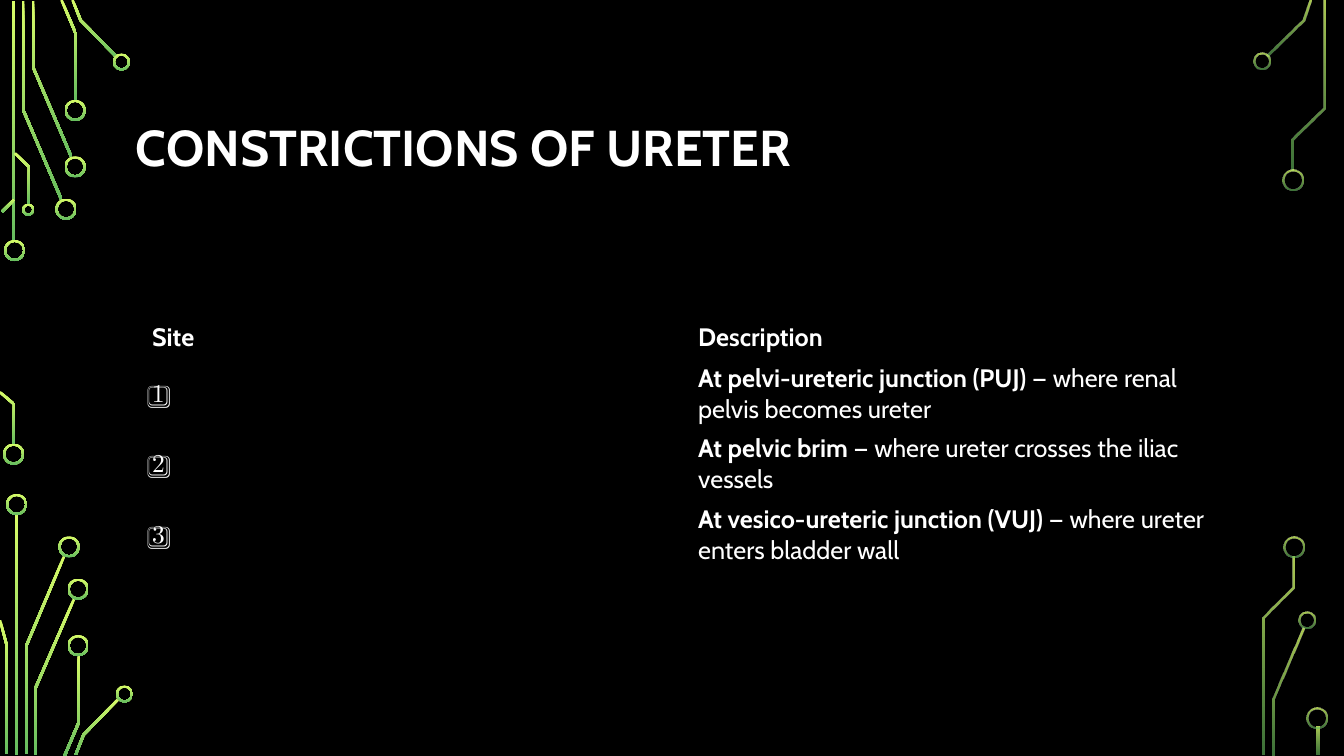
import math
from dataclasses import dataclass

from pptx import Presentation
from pptx.dml.color import RGBColor
from pptx.enum import shapes, text
from pptx.oxml import parse_xml
from pptx.oxml.ns import nsdecls
from pptx.util import Emu, Pt

PX = 9144  # 100 px to the inch
WIDE, HIGH = 1333, 750


@dataclass(frozen=True)
class Theme:
    back: str = "000000"
    ink: str = "FFFFFF"
    lime: str = "D8FC68"
    green: str = "66BD5F"
    font: str = "Cabin"
    head: int = 36
    body: int = 18
    wire: float = 2.5
    rim: int = 2
    plain: str = "{2D5ABB26-0587-4C30-8999-92F81FD0307C}"


THEME = Theme()
SOLID, FADED = (100, 100), (80, 60)

# Circuit art: wires are centre lines, rings are left, top, size
LEFT = dict(
    bars=[(12, 1, 3, 239), (15, 510, 3, 239)],
    wires=[
        [(61, 198), (23, 109), (23, 1)],
        [(71, 156), (33, 67), (33, 1)],
        [(75, 100), (75, 33), (61, 0)],
        [(116, 57), (80, 20), (72, 0)],
        [(2, 210), (14, 198)],
        [(14, 441), (14, 401), (0, 389)],
        [(29, 203), (29, 166), (15, 152)],
        [(26, 748), (26, 641), (64, 551)],
        [(7, 748), (7, 641), (0, 615)],
        [(35, 749), (35, 683), (74, 593)],
        [(64, 750), (78, 717), (78, 650)],
        [(75, 749), (83, 729), (118, 693)],
    ],
    rings=[
        (4, 238, 21), (3, 440, 21), (55, 197, 21), (64, 155, 21),
        (64, 99, 21), (112, 53, 17), (22, 202, 12), (6, 490, 21),
        (58, 532, 21), (67, 574, 21), (67, 630, 21), (115, 680, 17),
    ],
)
RIGHT = dict(
    bars=[(1306, 721, 3, 28)],
    wires=[
        [(1257, 55), (1293, 20), (1300, 0)],
        [(1263, 749), (1263, 693), (1293, 623)],
        [(1282, 169), (1282, 138), (1313, 107), (1313, 1)],
        [(1253, 749), (1253, 613), (1283, 583), (1283, 552)],
    ],
    rings=[
        (1243, 52, 17), (1272, 168, 21), (1288, 607, 17),
        (1273, 532, 21), (1296, 702, 21),
    ],
)

# Each cell is a list of (words, bold) runs
ROWS = [
    ([("Site", True)], [("Description", True)]),
    ([("1️⃣", False)], [("At pelvi-ureteric junction (PUJ)", True),
                       (" — where renal pelvis becomes ureter", False)]),
    ([("2️⃣", False)], [("At pelvic brim", True),
                       (" — where ureter crosses the iliac vessels", False)]),
    ([("3️⃣", False)], [("At vesico-ureteric junction (VUJ)", True),
                       (" — where ureter enters bladder wall", False)]),
]


def px(*sizes):
    return [Emu(round(n * PX)) for n in sizes]


def rgb(code):
    return RGBColor.from_string(code)


def glow(shape, alphas):
    """Fill from lime at the top to green at the foot, with no line."""
    shape.shadow.inherit = False
    shape.line.fill.background()
    shape.fill.gradient()
    shape.fill.gradient_angle = 270
    stops = shape.fill.gradient_stops
    for stop, code, spot, alpha in zip(
            stops, (THEME.lime, THEME.green), (0, 1), alphas):
        stop.color.rgb = rgb(code)
        stop.position = spot
        if alpha < 100:
            tint = shape._element.xpath(".//a:gs/a:srgbClr")[spot]
            tint.append(parse_xml(
                f'<a:alpha {nsdecls("a")} val="{alpha * 1000}"/>'))


def edge(line, half):
    """Offset a centre line sideways by half, with mitred corners."""
    turns = [math.atan2(y2 - y1, x2 - x1)
             for (x1, y1), (x2, y2) in zip(line, line[1:])]
    side = []
    for (x, y), a, b in zip(line, turns[:1] + turns, turns + turns[-1:]):
        mid, reach = (a + b) / 2, half / math.cos((b - a) / 2)
        side.append((x - reach * math.sin(mid), y + reach * math.cos(mid)))
    return side


def add_wire(slide, line, alphas):
    half = THEME.wire / 2
    rim = edge(line, half) + edge(line, -half)[::-1]
    first, *rest = [px(*spot) for spot in rim]
    pen = slide.shapes.build_freeform(*first)
    pen.add_line_segments(rest, close=True)
    glow(pen.convert_to_shape(), alphas)


def add_bar(slide, box, alphas):
    bar = slide.shapes.add_shape(shapes.MSO_SHAPE.RECTANGLE, *px(*box))
    glow(bar, alphas)


def add_ring(slide, left, top, size, alphas):
    ring = slide.shapes.add_shape(
        shapes.MSO_SHAPE.DONUT, *px(left, top, size, size))
    ring.adjustments[0] = THEME.rim / size
    glow(ring, alphas)


def add_art(slide, art, alphas):
    for box in art["bars"]:
        add_bar(slide, box, alphas)
    for line in art["wires"]:
        add_wire(slide, line, alphas)
    for ring in art["rings"]:
        add_ring(slide, *ring, alphas)


def add_run(para, words, size, bold):
    run = para.add_run()
    run.text = words
    font = run.font
    font.name, font.size, font.bold = THEME.font, Pt(size), bold
    font.color.rgb = rgb(THEME.ink)


def add_title(slide, words, box):
    frame = slide.shapes.add_textbox(*px(*box)).text_frame
    frame.word_wrap = True
    frame.vertical_anchor = text.MSO_ANCHOR.MIDDLE
    para = frame.paragraphs[0]
    para.line_spacing = 0.9
    add_run(para, words, THEME.head, True)


def add_grid(slide, rows, box, first):
    """Add a table without rules; first is the height of its head row."""
    grid = slide.shapes.add_table(len(rows), len(rows[0]), *px(*box)).table
    grid.first_row = grid.horz_banding = False
    grid._tbl.tblPr.xpath("a:tableStyleId")[0].text = THEME.plain
    rest = (box[3] - first) / (len(rows) - 1)
    for i, row in enumerate(rows):
        grid.rows[i].height = px(rest if i else first)[0]
        for j, runs in enumerate(row):
            cell = grid.cell(i, j)
            cell.fill.background()
            cell.vertical_anchor = text.MSO_ANCHOR.MIDDLE
            for words, bold in runs:
                add_run(cell.text_frame.paragraphs[0], words, THEME.body, bold)


def main():
    deck = Presentation()
    deck.slide_width, deck.slide_height = px(WIDE, HIGH)
    slide = deck.slides.add_slide(deck.slide_layouts[6])
    fill = slide.background.fill
    fill.solid()
    fill.fore_color.rgb = rgb(THEME.back)
    add_art(slide, LEFT, SOLID)
    add_art(slide, RIGHT, FADED)
    add_title(slide, "CONSTRICTIONS OF URETER", (125, 68, 1083, 162))
    add_grid(slide, ROWS, (141, 315, 1083, 250), 40)
    deck.save("out.pptx")


if __name__ == "__main__":
    main()
